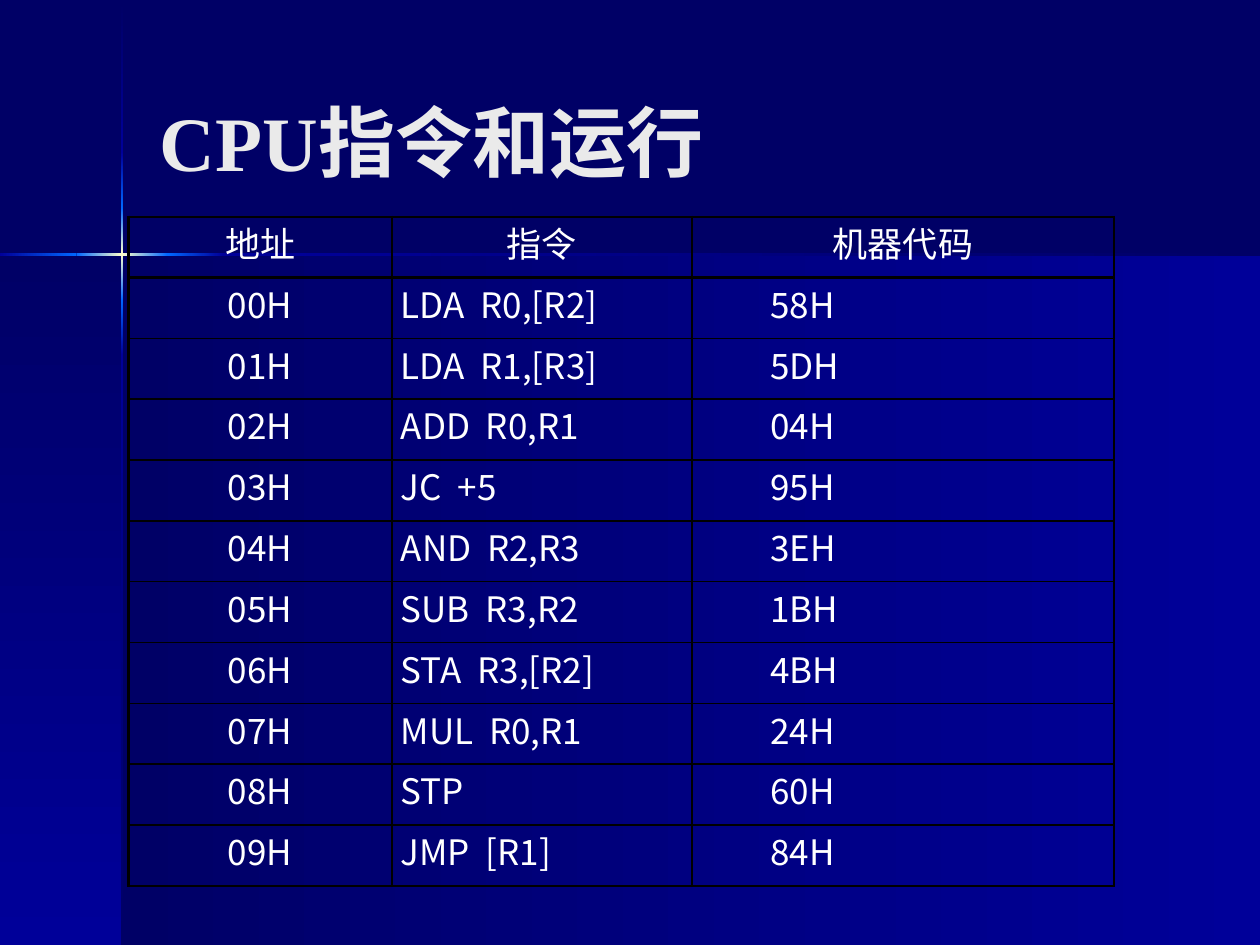
from dataclasses import dataclass
from itertools import pairwise

from lxml.etree import SubElement
from pptx import Presentation
from pptx.dml.color import RGBColor as RGB
from pptx.enum.shapes import MSO_SHAPE as Shape
from pptx.enum.text import MSO_ANCHOR as Anchor, PP_ALIGN as Align
from pptx.oxml.ns import qn
from pptx.util import Cm, Pt


@dataclass(frozen=True)
class Theme:
    navy: str = "000066"
    blue: str = "000099"
    glow: str = "0066FF"
    spark: str = "FFFFCC"
    title: str = "EAEAEA"
    text: str = "FFFFFF"
    border: str = "000000"
    title_font: str = "Times New Roman"
    body_font: str = "Noto Sans CJK SC"
    title_size: int = 44
    body_size: int = 20
    thick: float = 1.5
    thin: float = 1


T = Theme()
RIGHT, DOWN = 0, 270
HEADER = ("地址", "指令", "机器代码")
PROGRAM = (
    ("LDA  R0,[R2]", "58H"),
    ("LDA  R1,[R3]", "5DH"),
    ("ADD  R0,R1", "04H"),
    ("JC  +5", "95H"),
    ("AND  R2,R3", "3EH"),
    ("SUB  R3,R2", "1BH"),
    ("STA  R3,[R2]", "4BH"),
    ("MUL  R0,R1", "24H"),
    ("STP", "60H"),
    ("JMP  [R1]", "84H"),
)


def set_attrs(obj, values):
    for name, value in values.items():
        setattr(obj, name, value)


def style_run(r, latin, size, color, bold=False):
    set_attrs(r.font, {"name": latin, "size": Pt(size), "bold": bold})
    r.font.color.rgb = RGB.from_string(color)
    SubElement(r.font._element, qn("a:ea"), typeface=T.body_font)


def add_gradient_box(s, box, start, end, angle):
    sp = s.shapes.add_shape(Shape.RECTANGLE, *map(Cm, box))
    sp.shadow.inherit = False
    sp.line.fill.background()
    sp.fill.gradient()
    sp.fill.gradient_angle = angle
    for stop, color, position in zip(sp.fill.gradient_stops, (start, end), (0, 1)):
        stop.position = position
        stop.color.rgb = RGB.from_string(color)


def add_beam(s, offset, stops, angle):
    """Draw a thin line of light as gradient pieces between (place, colour) stops."""
    width = 0.05
    for (a, start), (b, end) in pairwise(stops):
        box = (offset, a, width, b - a) if angle == DOWN else (a, offset, b - a, width)
        add_gradient_box(s, box, start, end, angle)


def add_backdrop(s):
    s.background.fill.solid()
    s.background.fill.fore_color.rgb = RGB.from_string(T.navy)
    x, y = 2.46, 5.13
    add_gradient_box(s, (x, y, 25.4 - x, 19.05 - y), T.navy, T.blue, RIGHT)
    add_gradient_box(s, (0, y, x, 19.05 - y), T.navy, T.blue, DOWN)
    core = (T.blue, T.glow, T.spark, T.glow, T.blue)
    down = zip((0.03, 3.07, 4.19, 5.12, 6.05, 7.16, 19.05), (T.navy, *core, T.navy))
    across = zip((0, 1.54, 2.46, 3.38, 4.5, 25.4), (*core, T.navy))
    add_beam(s, 2.44, down, DOWN)
    add_beam(s, 5.11, across, RIGHT)


def add_title(s, text):
    title = s.shapes.title
    set_attrs(title, {"left": Cm(2.97), "top": Cm(0.84),
                      "width": Cm(20.96), "height": Cm(3.99)})
    tf = title.text_frame
    set_attrs(tf, {"vertical_anchor": Anchor.MIDDLE, "word_wrap": True})
    p = tf.paragraphs[0]
    p.alignment = Align.LEFT
    r = p.add_run()
    r.text = text
    style_run(r, T.title_font, T.title_size, T.title, bold=True)


def set_borders(cell, widths):
    for side, width in zip("LRTB", widths):
        ln = SubElement(cell._tc.get_or_add_tcPr(), qn(f"a:ln{side}"), w=str(Pt(width)))
        fill = SubElement(ln, qn("a:solidFill"))
        SubElement(fill, qn("a:srgbClr"), val=T.border)


def fill_cell(cell, text, align, indent, widths):
    set_borders(cell, widths)
    cell.fill.background()
    set_attrs(cell, {"margin_left": Cm(indent), "margin_right": Cm(0.18),
                     "margin_top": 0, "margin_bottom": 0})
    p = cell.text_frame.paragraphs[0]
    p.alignment = align
    r = p.add_run()
    r.text = text
    style_run(r, T.body_font, T.body_size, T.text)


def add_program_table(s):
    rows = [HEADER] + [(f"{i:02X}H", *line) for i, line in enumerate(PROGRAM)]
    col_widths = (5.31, 6.05, 8.51)
    last = len(rows) - 1
    table = s.shapes.add_table(len(rows), len(HEADER), Cm(2.59), Cm(4.37),
                               Cm(sum(col_widths)), Cm(13.49)).table
    set_attrs(table, {"first_row": False, "horz_banding": False})
    for column, width in zip(table.columns, col_widths):
        column.width = Cm(width)
    for i, row in enumerate(rows):
        top = T.thick if i <= 1 else T.thin
        bottom = T.thick if i in (0, last) else T.thin
        for j, text in enumerate(row):
            centred = i == 0 or j == 0
            fill_cell(table.cell(i, j), text,
                      Align.CENTER if centred else Align.JUSTIFY,
                      1.58 if i and j == 2 else 0.18,
                      (T.thick, T.thick, top, bottom))


def main():
    prs = Presentation()
    set_attrs(prs, {"slide_width": Cm(25.4), "slide_height": Cm(19.05)})
    s = prs.slides.add_slide(prs.slide_layouts[5])
    add_backdrop(s)
    add_title(s, "CPU指令和运行")
    add_program_table(s)
    prs.save("out.pptx")


if __name__ == "__main__":
    main()
